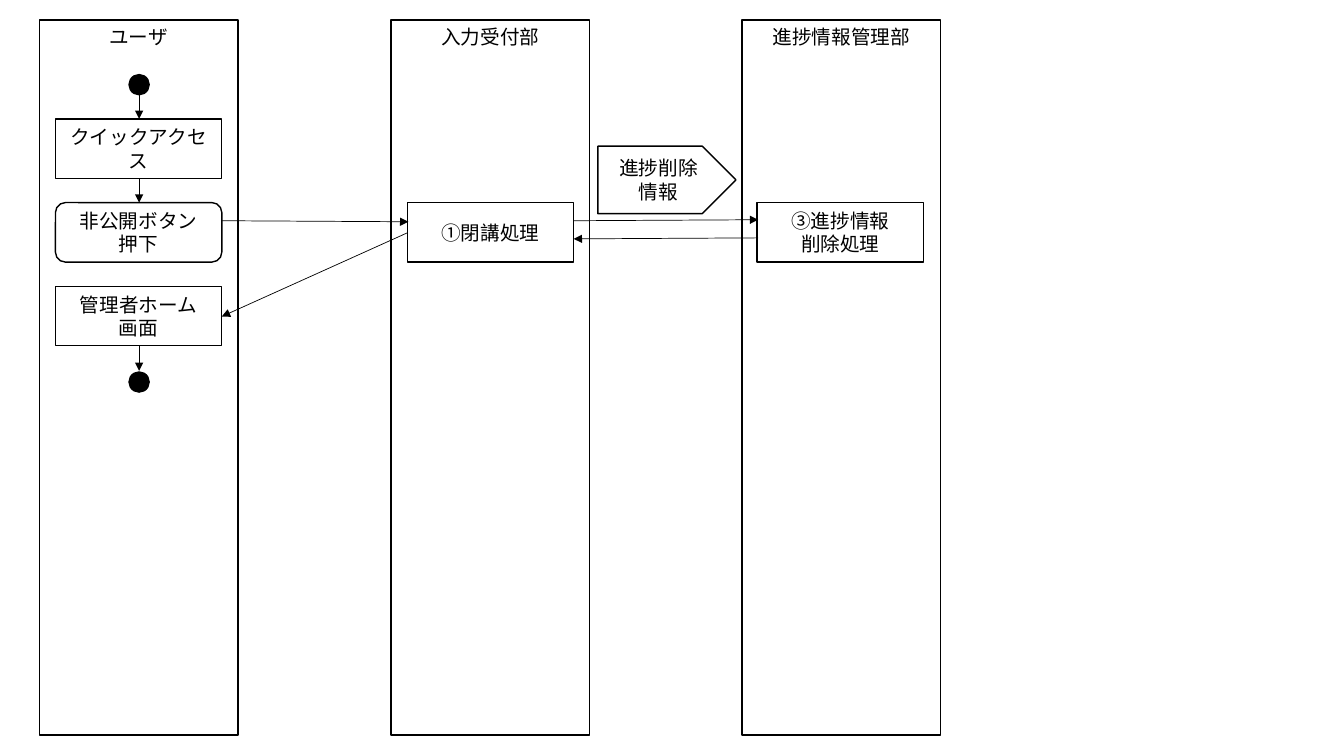
from lxml.etree import SubElement
from pptx import Presentation
from pptx.dml.color import RGBColor
from pptx.enum.shapes import MSO_CONNECTOR, MSO_SHAPE
from pptx.enum.text import MSO_ANCHOR, PP_ALIGN
from pptx.oxml.ns import qn
from pptx.util import Inches, Pt

THEME = {
    "ink": RGBColor(0, 0, 0),
    "paper": RGBColor(255, 255, 255),
    "lane_font": "Arial",
    "step_font": "Calibri",
    "text_size": Pt(14),
    "outline": Pt(1),
    "arrow": Pt(0.5),
}

LANE_TOP, LANE_WIDTH, LANE_HEIGHT = 0.2, 1.97, 7.09
STEP_WIDTH, STEP_HEIGHT = 1.65, 0.59
FIRST_STEP_TOP, STEP_PITCH = 1.18, 0.83
DOT_SIZE = 0.2
USER_CENTER = 1.38

LANES = [("ユーザ", 0.39), ("入力受付部", 3.88), ("進捗情報管理部", 7.36)]
STEPS = [
    (MSO_SHAPE.RECTANGLE, 0.55, 0, ["クイックアクセス"]),
    (MSO_SHAPE.ROUNDED_RECTANGLE, 0.55, 1, ["非公開ボタン", "押下"]),
    (MSO_SHAPE.RECTANGLE, 0.55, 2, ["管理者ホーム", "画面"]),
    (MSO_SHAPE.RECTANGLE, 4.04, 1, ["①閉講処理"]),
    (MSO_SHAPE.RECTANGLE, 7.51, 1, ["③進捗情報", "削除処理"]),
]
DOT_TOPS = [0.74, 3.69]
MESSAGE = (["進捗削除", "情報"], (5.93, 1.45, 1.37, 0.67))
DOWN_ARROWS = [(0.93, 1.18), (1.77, 2.01), (3.43, 3.68)]
LANE_ARROWS = [
    ((2.2, 2.19), (4.05, 2.2)),
    ((4.04, 2.31), (2.2, 3.14)),
    ((5.69, 2.19), (7.52, 2.18)),
    ((7.52, 2.36), (5.69, 2.37)),
]


def set_attributes(target, values):
    for name, value in values.items():
        setattr(target, name, value)


def add_box(slide, kind, box, lines=(), fill="paper", font="step_font", anchor=MSO_ANCHOR.MIDDLE):
    shape = slide.shapes.add_shape(kind, *map(Inches, box))
    shape.shadow.inherit = False
    shape.fill.solid()
    shape.fill.fore_color.rgb = THEME[fill]
    shape.line.color.rgb = THEME["ink"]
    shape.line.width = THEME["outline"]
    frame = shape.text_frame
    set_attributes(frame, {"word_wrap": True, "vertical_anchor": anchor})
    for index, line in enumerate(lines):
        paragraph = frame.add_paragraph() if index else frame.paragraphs[0]
        paragraph.alignment = PP_ALIGN.CENTER
        run = paragraph.add_run()
        run.text = line
        set_attributes(run.font, {"name": THEME[font], "size": THEME["text_size"]})
        run.font.color.rgb = THEME["ink"]


def add_arrow(slide, start, end):
    connector = slide.shapes.add_connector(MSO_CONNECTOR.STRAIGHT, *map(Inches, start + end))
    connector.line.color.rgb = THEME["ink"]
    connector.line.width = THEME["arrow"]
    properties = connector._element.spPr
    SubElement(properties.find(qn("a:ln")), qn("a:tailEnd"), type="triangle")
    SubElement(properties, qn("a:effectLst"))


def main():
    presentation = Presentation()
    set_attributes(presentation, {"slide_width": Inches(13.33), "slide_height": Inches(7.5)})
    slide = presentation.slides.add_slide(presentation.slide_layouts[6])

    for title, left in LANES:
        lane_box = (left, LANE_TOP, LANE_WIDTH, LANE_HEIGHT)
        add_box(slide, MSO_SHAPE.RECTANGLE, lane_box, [title], font="lane_font", anchor=MSO_ANCHOR.TOP)
    for top in DOT_TOPS:
        dot_box = (USER_CENTER - DOT_SIZE / 2, top, DOT_SIZE, DOT_SIZE)
        add_box(slide, MSO_SHAPE.OVAL, dot_box, fill="ink")
    for kind, left, row, lines in STEPS:
        top = FIRST_STEP_TOP + row * STEP_PITCH
        add_box(slide, kind, (left, top, STEP_WIDTH, STEP_HEIGHT), lines)

    down_arrows = [((USER_CENTER, top), (USER_CENTER, bottom)) for top, bottom in DOWN_ARROWS]
    for start, end in down_arrows + LANE_ARROWS:
        add_arrow(slide, start, end)

    message_lines, message_box = MESSAGE
    add_box(slide, MSO_SHAPE.PENTAGON, message_box, message_lines)
    presentation.save("out.pptx")


if __name__ == "__main__":
    main()
